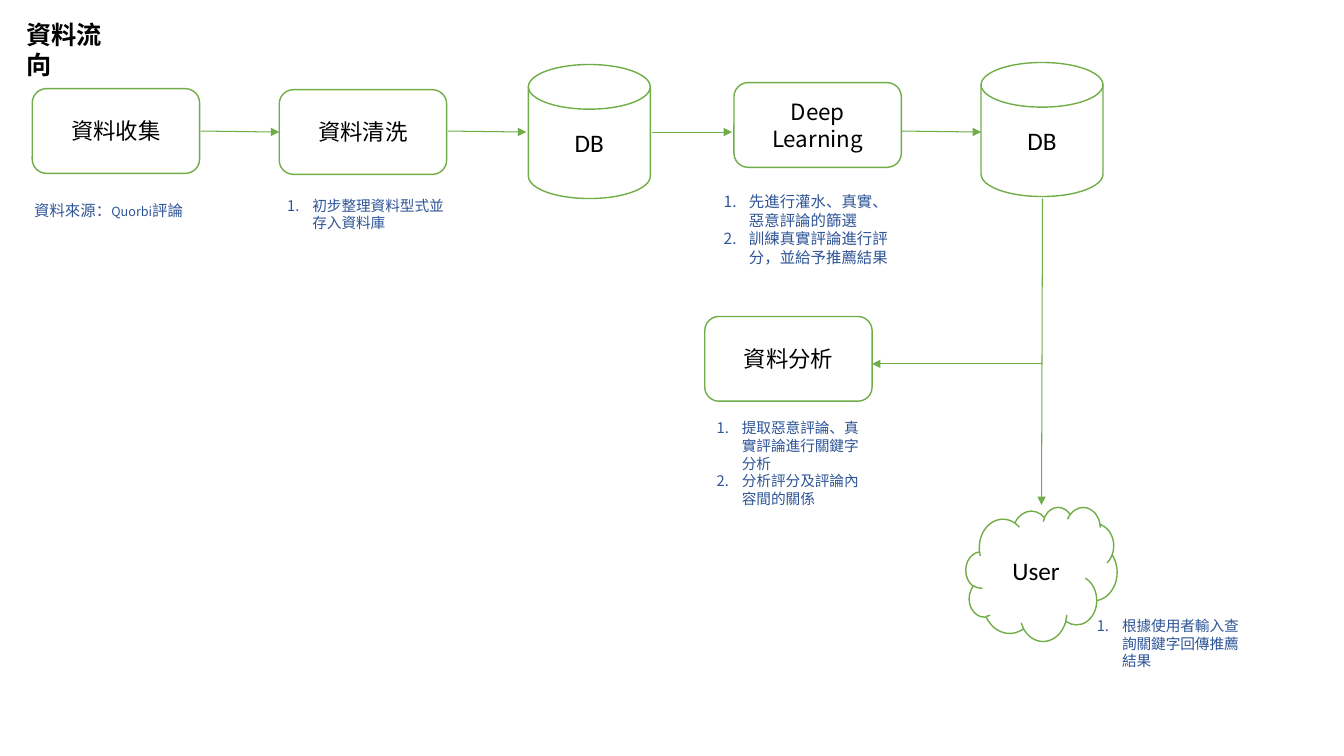
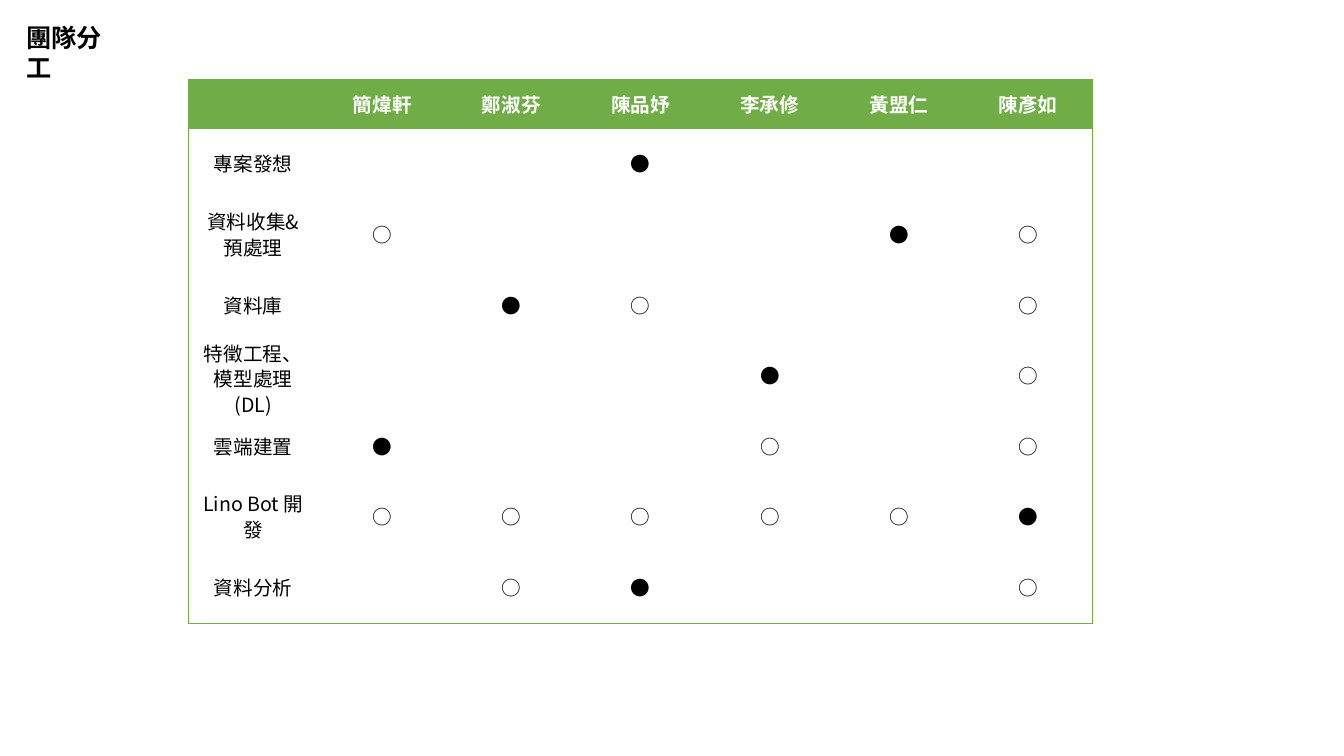
"""Builds a data-flow slide and a team-roles slide."""
import dataclasses
import typing

import lxml.etree
import pptx
import pptx.dml.color
import pptx.enum.shapes
import pptx.enum.text
import pptx.oxml.ns
import pptx.presentation
import pptx.shapes.autoshape
import pptx.slide
import pptx.table
import pptx.text.text
import pptx.util

RGBColor = pptx.dml.color.RGBColor
Shapes = pptx.enum.shapes.MSO_SHAPE
Align = pptx.enum.text.PP_ALIGN
Anchor = pptx.enum.text.MSO_ANCHOR
qn = pptx.oxml.ns.qn

GREEN = RGBColor(0x70, 0xAD, 0x47)
BLUE = RGBColor(0x2F, 0x55, 0x97)
BLACK = RGBColor(0, 0, 0)
WHITE = RGBColor(255, 255, 255)
CJK = "Noto Sans CJK SC"
LATIN = "Calibri"
SLIDE_WIDTH = pptx.util.Inches(13.33)
SLIDE_HEIGHT = pptx.util.Inches(7.5)
COLUMN = SLIDE_WIDTH / 133.3
ROW = SLIDE_HEIGHT / 75
TITLE_ONLY = 5
NO_TABLE_STYLE = "{2D5ABB26-0587-4C30-8999-92F81FD0307C}"


class Area(typing.NamedTuple):
    """A rectangle in grid columns and rows."""
    left: float
    top: float
    width: float
    height: float

    def emu(self) -> tuple[int, int, int, int]:
        """Return the rectangle in slide units."""
        return (round(self.left * COLUMN), round(self.top * ROW),
                round(self.width * COLUMN), round(self.height * ROW))


@dataclasses.dataclass(frozen=True)
class Kind:
    """The look shared by all stages of one sort."""
    preset: Shapes
    width: float
    height: float
    size: float
    font: str


@dataclasses.dataclass(frozen=True)
class Stage:
    """One stage of the data flow."""
    label: str
    kind: Kind
    left: float
    top: float


@dataclasses.dataclass(frozen=True)
class Steps:
    """A numbered note beside a stage."""
    area: Area
    lines: tuple[str, ...]
    size: float = 10.5


class Flow(typing.NamedTuple):
    """An arrow between two grid points."""
    x1: float
    y1: float
    x2: float
    y2: float


class Task(typing.NamedTuple):
    """A table row: a task and one mark per member."""
    label: str
    marks: str


PROCESS = Kind(Shapes.ROUNDED_RECTANGLE, 16.6, 8.4, 16, CJK)
STORE = Kind(Shapes.FLOWCHART_MAGNETIC_DISK, 12.1, 13.3, 18, LATIN)
CLOUD = Kind(Shapes.CLOUD, 15, 13.3, 18, LATIN)

STAGES = (
    Stage("資料收集", PROCESS, 3.2, 8.8),
    Stage("資料清洗", PROCESS, 27.7, 8.9),
    Stage("DB", STORE, 52.4, 6.4),
    Stage("Deep Learning", PROCESS, 72.8, 8.2),
    Stage("DB", STORE, 97.3, 6.2),
    Stage("資料分析", PROCESS, 69.9, 31.4),
    Stage("User", CLOUD, 95.8, 50.3),
)
FLOWS = (
    Flow(19.9, 13, 27.7, 13.1),
    Flow(44.4, 13, 52.2, 13.1),
    Flow(64.7, 13.1, 72.6, 13.1),
    Flow(89.4, 13, 97.3, 13.1),
    Flow(103.4, 19.7, 103.3, 50.1),
    Flow(103.3, 36.1, 86.5, 36.1),
)
NOTES = (
    Steps(Area(27.5, 19, 18.3, 4.5), ("初步整理資料型式並存入資料庫",)),
    Steps(Area(70.1, 41.1, 16.5, 11.5),
          ("提取惡意評論、真實評論進行關鍵字分析", "分析評分及評論內容間的關係")),
    Steps(Area(107.8, 60.7, 16.8, 6.2), ("根據使用者輸入查詢關鍵字回傳推薦結果",)),
    Steps(Area(70.8, 18.6, 18.6, 8.3),
          ("先進行灌水、真實、惡意評論的篩選", "訓練真實評論進行評分，並給予推薦結果"), 11),
)
SOURCE_AREA = Area(2.4, 19.5, 17.7, 2.8)
SOURCE_PARTS = (("資料來源：", 11), ("Quorbi", 9), ("評論", 11))

MEMBERS = ("簡煒軒", "鄭淑芬", "陳品妤", "李承修", "黃盟仁", "陳彥如")
TASKS = (
    Task("專案發想", "--●---"),
    Task("資料收集&預處理", "○---●○"),
    Task("資料庫", "-●○--○"),
    Task("特徵工程、模型處理(DL)", "---●-○"),
    Task("雲端建置", "●--○-○"),
    Task("Lino Bot 開發", "○○○○○●"),
    Task("資料分析", "-○●--○"),
)
ROLES_AREA = Area(18.7, 7.9, 89.7, 53.9)
HEADER_ROWS = 4.9
TASK_ROWS = 7


def style(paragraph: pptx.text.text._Paragraph, size: float, color: RGBColor,
          face: str = CJK, bold: bool = False) -> None:
    """Set the paragraph font for Latin and East Asian text."""
    font = paragraph.font
    font.size = pptx.util.Pt(size)
    font.bold = bold
    font.color.rgb = color
    font.name = face
    properties = paragraph._p.get_or_add_pPr().find(qn("a:defRPr"))
    lxml.etree.SubElement(properties, qn("a:ea"), typeface=face)


def number(paragraph: pptx.text.text._Paragraph) -> None:
    """Number the paragraph with a blue hanging numeral."""
    properties = paragraph._p.get_or_add_pPr()
    indent = pptx.util.Inches(0.25)
    properties.set("marL", str(indent))
    properties.set("indent", str(-indent))
    tint = lxml.etree.SubElement(properties, qn("a:buClr"))
    lxml.etree.SubElement(tint, qn("a:srgbClr"), val=str(BLUE))
    lxml.etree.SubElement(properties, qn("a:buAutoNum"), type="arabicPeriod")


def add_titled_slide(deck: pptx.presentation.Presentation, text: str,
                     top: float) -> pptx.slide.Slide:
    """Add a slide with the shared title style."""
    slide = deck.slides.add_slide(deck.slide_layouts[TITLE_ONLY])
    title = slide.shapes.title
    title.left, title.top, title.width, title.height = Area(1.6, top, 12, 4).emu()
    frame = title.text_frame
    frame.text = text
    frame.word_wrap = False
    frame.auto_size = pptx.enum.text.MSO_AUTO_SIZE.SHAPE_TO_FIT_TEXT
    frame.vertical_anchor = Anchor.TOP
    frame.paragraphs[0].alignment = Align.LEFT
    style(frame.paragraphs[0], 18, BLACK, bold=True)
    return slide


def add_stage(slide: pptx.slide.Slide, stage: Stage) -> None:
    """Draw one outlined stage with its centred label."""
    kind = stage.kind
    area = Area(stage.left, stage.top, kind.width, kind.height)
    outline = slide.shapes.add_shape(kind.preset, *area.emu())
    outline.shadow.inherit = False
    outline.fill.solid()
    outline.fill.fore_color.rgb = WHITE
    outline.line.color.rgb = GREEN
    outline.line.width = pptx.util.Pt(1)
    frame = outline.text_frame
    frame.text = stage.label
    frame.word_wrap = True
    frame.vertical_anchor = Anchor.MIDDLE
    frame.paragraphs[0].alignment = Align.CENTER
    style(frame.paragraphs[0], kind.size, BLACK, kind.font)


def add_flow(slide: pptx.slide.Slide, flow: Flow) -> None:
    """Draw one arrow."""
    arrow = slide.shapes.add_connector(
        pptx.enum.shapes.MSO_CONNECTOR.STRAIGHT,
        round(flow.x1 * COLUMN), round(flow.y1 * ROW),
        round(flow.x2 * COLUMN), round(flow.y2 * ROW))
    arrow.line.color.rgb = GREEN
    arrow.line.width = pptx.util.Pt(0.75)
    lxml.etree.SubElement(arrow.line._get_or_add_ln(), qn("a:tailEnd"), type="triangle")
    lxml.etree.SubElement(arrow._element.spPr, qn("a:effectLst"))


def add_steps(slide: pptx.slide.Slide, steps: Steps) -> None:
    """Write one numbered note."""
    frame = slide.shapes.add_textbox(*steps.area.emu()).text_frame
    frame.word_wrap = True
    frame.text = "\n".join(steps.lines)
    for paragraph in frame.paragraphs:
        number(paragraph)
        style(paragraph, steps.size, BLUE)


def add_source(slide: pptx.slide.Slide) -> None:
    """Write where the data comes from."""
    frame = slide.shapes.add_textbox(*SOURCE_AREA.emu()).text_frame
    frame.word_wrap = False
    paragraph = frame.paragraphs[0]
    style(paragraph, 11, BLUE)
    for text, size in SOURCE_PARTS:
        run = paragraph.add_run()
        run.text = text
        run.font.size = pptx.util.Pt(size)


def add_borders(cell: pptx.table._Cell, sides: str) -> None:
    """Draw green borders on the sides named by L, R, T and B."""
    properties = cell._tc.get_or_add_tcPr()
    for place, side in enumerate(sides):
        border = lxml.etree.Element(qn(f"a:ln{side}"), w=str(pptx.util.Pt(0.51)))
        fill = lxml.etree.SubElement(border, qn("a:solidFill"))
        lxml.etree.SubElement(fill, qn("a:srgbClr"), val=str(GREEN))
        properties.insert(place, border)


def fill_cell(cell: pptx.table._Cell, text: str, is_header: bool) -> None:
    """Write and paint one table cell."""
    cell.vertical_anchor = Anchor.MIDDLE
    cell.margin_top = cell.margin_bottom = 0
    if is_header:
        cell.fill.solid()
        cell.fill.fore_color.rgb = GREEN
    else:
        cell.fill.background()
    cell.text = text
    paragraph = cell.text_frame.paragraphs[0]
    paragraph.alignment = Align.CENTER
    paragraph.line_spacing = 0.9
    style(paragraph, 14, WHITE if is_header else BLACK, bold=is_header)


def add_roles(slide: pptx.slide.Slide) -> None:
    """Draw the table of tasks and members."""
    grid = [("", *MEMBERS)]
    grid += [(task.label, *task.marks.replace("-", " ")) for task in TASKS]
    last_row, last_column = len(grid) - 1, len(MEMBERS)
    table = slide.shapes.add_table(
        len(grid), last_column + 1, *ROLES_AREA.emu()).table
    table.first_row = table.horz_banding = False
    table._tbl.tblPr.find(qn("a:tableStyleId")).text = NO_TABLE_STYLE
    for r, texts in enumerate(grid):
        table.rows[r].height = round((TASK_ROWS if r else HEADER_ROWS) * ROW)
        for c, text in enumerate(texts):
            cell = table.cell(r, c)
            fill_cell(cell, text.strip(), r == 0)
            edges = {"L": c == 0, "R": c == last_column, "T": r == 0, "B": r == last_row}
            add_borders(cell, "".join(side for side, outer in edges.items() if outer))


def main() -> None:
    """Build and save the deck."""
    deck = pptx.Presentation()
    deck.slide_width, deck.slide_height = SLIDE_WIDTH, SLIDE_HEIGHT
    flow_slide = add_titled_slide(deck, "資料流向", 1.4)
    for flow in FLOWS:
        add_flow(flow_slide, flow)
    for stage in STAGES:
        add_stage(flow_slide, stage)
    add_source(flow_slide)
    for steps in NOTES:
        add_steps(flow_slide, steps)
    add_roles(add_titled_slide(deck, "團隊分工", 1.7))
    deck.save("out.pptx")


main()
